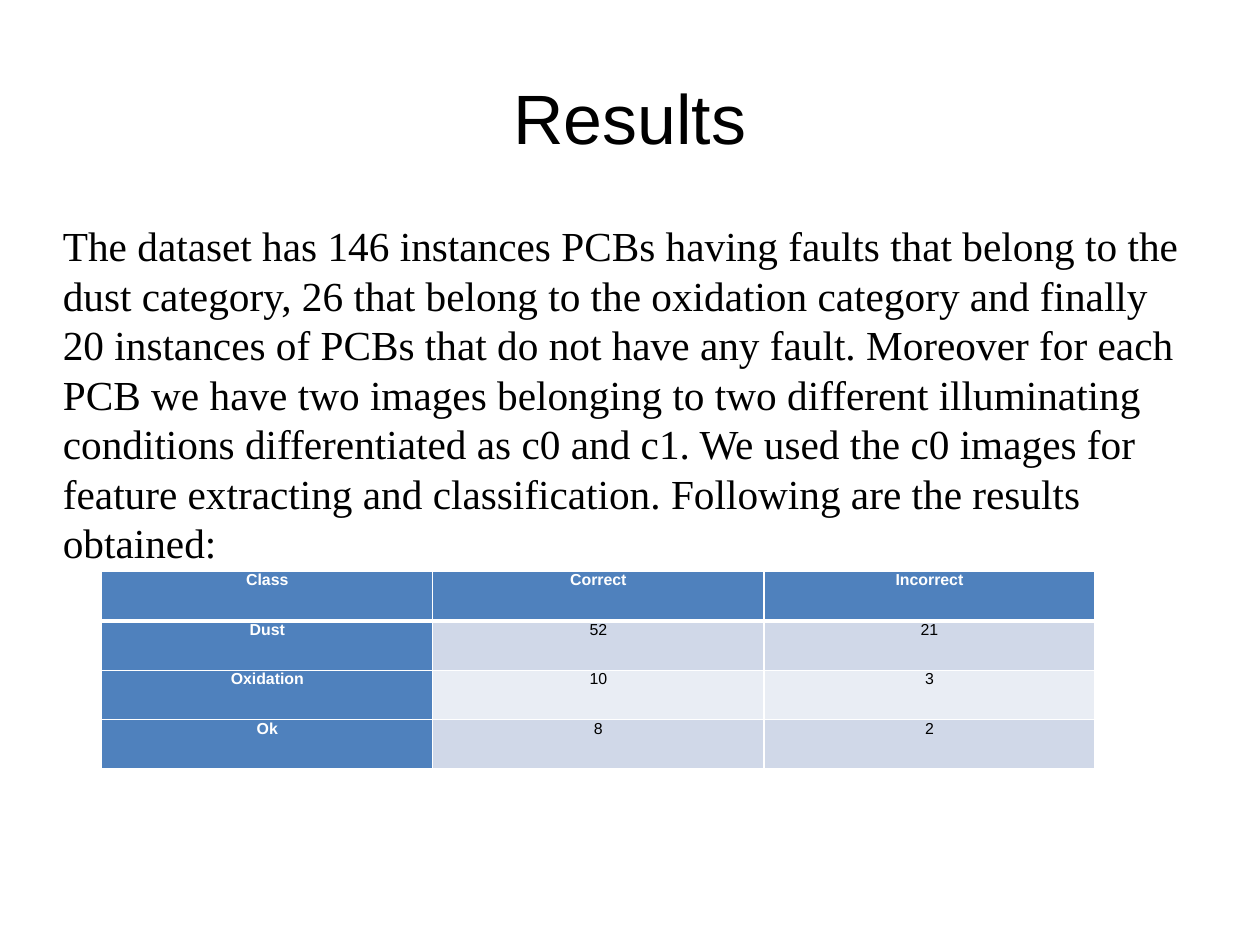
"""Build the Results slide: a title, a paragraph on the dataset and a table of outcomes."""
from lxml import etree
from pptx import Presentation
from pptx.dml.color import RGBColor
from pptx.enum.text import MSO_ANCHOR, MSO_AUTO_SIZE, PP_ALIGN
from pptx.oxml.ns import qn
from pptx.util import Cm, Inches, Pt

CENTER, LEFT = PP_ALIGN.CENTER, PP_ALIGN.LEFT
MIDDLE, TOP = MSO_ANCHOR.MIDDLE, MSO_ANCHOR.TOP
NO_AUTOFIT = MSO_AUTO_SIZE.NONE

TITLE = "Results"
BODY = (
    "The dataset has 146 instances PCBs having faults that belong to the dust category, "
    "26 that belong to the oxidation category and finally 20 instances of PCBs that do not "
    "have any fault. Moreover for each PCB we have two images belonging to two different "
    "illuminating conditions differentiated as c0 and c1. We used the c0 images for feature "
    "extracting and classification. Following are the results obtained:"
)
ROWS = [
    ("Class", "Correct", "Incorrect"),
    ("Dust", "52", "21"),
    ("Oxidation", "10", "3"),
    ("Ok", "8", "2"),
]

TITLE_BOX = (0.55, 0.33, 9.92, 1.38)
BODY_BOX = (0.55, 1.93, 9.92, 4.79)
TABLE_BOX = (0.89, 5, 8.69, 1.73)
CELL_INSET = 0.07

THEME = {
    "text": RGBColor(0, 0, 0),
    "head_text": RGBColor(255, 255, 255),
    "head_fill": RGBColor.from_string("4F81BD"),
    "bands": [RGBColor.from_string("D0D8E8"), RGBColor.from_string("E9EDF4")],
    "rule": "FFFFFF",
    "thin": 1,
    "thick": 3,
    "title": {"name": "Arial", "size": Pt(44)},
    "body": {"name": "Times New Roman", "size": Pt(26)},
    "cell": {"name": "Arial", "size": Pt(10)},
}


def apply(obj, formats):
    for name, value in formats.items():
        setattr(obj, name, value)


def write(tf, text, font, color, align):
    p = tf.paragraphs[0]
    p.alignment = align
    r = p.add_run()
    r.text = text
    apply(r.font, font)
    r.font.color.rgb = color
    return p


def fill_placeholder(sp, box, text, font, align, anchor):
    apply(sp, dict(zip(("left", "top", "width", "height"), map(Inches, box))))
    apply(sp.text_frame, {
        "margin_left": 0, "margin_top": 0, "margin_right": 0, "margin_bottom": 0,
        "word_wrap": True, "auto_size": NO_AUTOFIT, "vertical_anchor": anchor,
    })
    return write(sp.text_frame, text, font, THEME["text"], align)


def remove_bullet(p):
    pPr = p._p.get_or_add_pPr()
    apply(p, {"line_spacing": 1.0, "space_before": Pt(1.5)})
    pPr.set("marL", "0")
    pPr.set("indent", "0")
    etree.SubElement(pPr, qn("a:buNone"))


def add_borders(cell, row):
    tcPr = cell._tc.get_or_add_tcPr()
    thick_side = {0: "B", 1: "T"}.get(row)
    for side in "LRTB":
        width = THEME["thick"] if side == thick_side else THEME["thin"]
        ln = etree.SubElement(tcPr, qn(f"a:ln{side}"), w=str(int(Pt(width))))
        fill = etree.SubElement(ln, qn("a:solidFill"))
        etree.SubElement(fill, qn("a:srgbClr"), val=THEME["rule"])


def add_results_table(s):
    left, top, width, height = map(Inches, TABLE_BOX)
    table = s.shapes.add_table(len(ROWS), len(ROWS[0]), left, top, width, height).table
    table.first_col = True
    for i, values in enumerate(ROWS):
        for j, text in enumerate(values):
            cell = table.cell(i, j)
            head = i == 0 or j == 0
            apply(cell, {
                "margin_left": Inches(CELL_INSET), "margin_right": Inches(CELL_INSET),
                "margin_top": 0, "margin_bottom": 0, "vertical_anchor": TOP,
            })
            add_borders(cell, i)
            cell.fill.solid()
            cell.fill.fore_color.rgb = THEME["head_fill"] if head else THEME["bands"][(i - 1) % 2]
            write(cell.text_frame, text, {**THEME["cell"], "bold": head},
                  THEME["head_text" if head else "text"], CENTER)


def main():
    prs = Presentation()
    prs.slide_width = Cm(28)
    prs.slide_height = Cm(21)
    s = prs.slides.add_slide(prs.slide_layouts[1])
    fill_placeholder(s.shapes.title, TITLE_BOX, TITLE, THEME["title"], CENTER, MIDDLE)
    p = fill_placeholder(s.placeholders[1], BODY_BOX, BODY, THEME["body"], LEFT, TOP)
    remove_bullet(p)
    add_results_table(s)
    prs.save("out.pptx")


if __name__ == "__main__":
    main()
